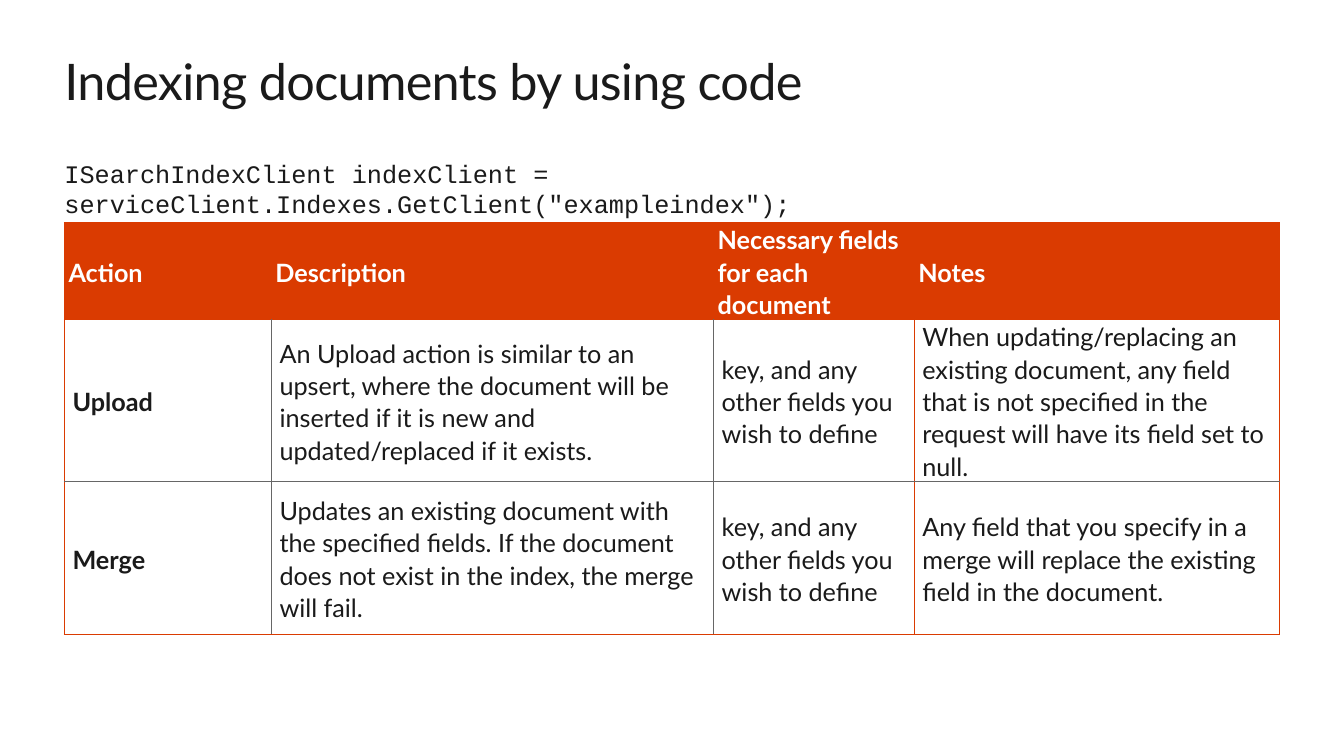
from dataclasses import dataclass

from lxml.etree import SubElement
from pptx import Presentation
from pptx.dml.color import RGBColor
from pptx.enum.text import MSO_VERTICAL_ANCHOR as Anchor
from pptx.oxml.ns import qn
from pptx.util import Inches, Pt

WIDTH, HEIGHT = Inches(13.33), Inches(7.5)
ORANGE, INK, WHITE, GRAY = "DA3B01", "1A1A1A", "FFFFFF", "666666"
SANS, MONO = "Lato", "Courier New"
LEFT, SPAN = 4.8, 90.4  # percent of the slide's width

COLUMN_SHARES = [15.4, 32.9, 14.93, 27.17]
ROW_SHARES = [8.53, 20.53, 20.27]


@dataclass
class TextLine:
    text: str
    top: float
    height: float
    size: float
    font: str
    tracking: float = 0
    before: float = 0


@dataclass
class Edge:
    side: str
    color: str
    points: float


LINES = [
    TextLine("Indexing documents by using code", 6.67, 8.13, 36, SANS, tracking=-0.5),
    TextLine('ISearchIndexClient indexClient = serviceClient.Indexes.GetClient("exampleindex");',
             20.93, 4, 18, MONO, before=3.6),
]

ACTIONS = [
    ["Action", "Description", "Necessary fields \vfor each document", "Notes"],
    ["Upload",
     "An Upload action is similar to an upsert, where the document will be inserted "
     "if it is new and updated/replaced if it exists.",
     "key, and any other fields you wish to define",
     "When updating/replacing an existing document, any field that is not specified "
     "in the request will have its field set to null."],
    ["Merge",
     "Updates an existing document with the specified fields. If the document does "
     "not exist in the index, the merge will fail.",
     "key, and any other fields you wish to define",
     "Any field that you specify in a merge will replace the existing field in the document."],
]


def across(percent: float) -> int:
    return int(WIDTH * percent / 100)


def down(percent: float) -> int:
    return int(HEIGHT * percent / 100)


def rgb(color: str) -> RGBColor:
    return RGBColor.from_string(color)


def write(para, text: str, *, size: float = 18, font: str = SANS, color: str = INK,
          bold: bool = False, tracking: float = 0) -> None:
    para.text = text
    for span in para.runs:
        span.font.size = Pt(size)
        span.font.name = font
        span.font.bold = bold
        span.font.color.rgb = rgb(color)
        if tracking:
            span.font._element.set("spc", str(int(tracking * 100)))


def add_line_of_text(page, line: TextLine) -> None:
    box = page.shapes.add_textbox(across(LEFT), down(line.top), across(SPAN), down(line.height))
    frame = box.text_frame
    frame.word_wrap = True
    frame.margin_left = frame.margin_right = frame.margin_top = frame.margin_bottom = 0
    para = frame.paragraphs[0]
    para.space_before = Pt(line.before)
    write(para, line.text, size=line.size, font=line.font, tracking=line.tracking)


def cell_edges(row: int, column: int) -> list[Edge]:
    """Orange frame, header and Notes divider; thin gray lines elsewhere."""
    last_row, last_column = len(ROW_SHARES) - 1, len(COLUMN_SHARES) - 1
    orange_sides = {
        "L": row == 0 or column in (0, last_column),
        "R": row == 0 or column >= last_column - 1,
        "T": row <= 1,
        "B": row in (0, last_row),
    }
    return [Edge(side, ORANGE, 1) if orange else Edge(side, GRAY, 0.5)
            for side, orange in orange_sides.items()]


def draw_edge(cell, edge: Edge) -> None:
    properties = cell._tc.get_or_add_tcPr()
    line = SubElement(properties, qn(f"a:ln{edge.side}"), w=str(int(Pt(edge.points))))
    SubElement(SubElement(line, qn("a:solidFill")), qn("a:srgbClr"), val=edge.color)


def add_action_table(page) -> None:
    frame = page.shapes.add_table(len(ROW_SHARES), len(COLUMN_SHARES), across(LEFT), down(29.47),
                                  across(SPAN), down(sum(ROW_SHARES)))
    table = frame.table
    table.horz_banding = False
    for column, share in zip(table.columns, COLUMN_SHARES):
        column.width = across(share)
    for row, share in zip(table.rows, ROW_SHARES):
        row.height = down(share)
    for r, texts in enumerate(ACTIONS):
        header = r == 0
        for c, text in enumerate(texts):
            cell = table.cell(r, c)
            for edge in cell_edges(r, c):
                draw_edge(cell, edge)
            cell.fill.solid()
            cell.fill.fore_color.rgb = rgb(ORANGE if header else WHITE)
            cell.vertical_anchor = Anchor.MIDDLE
            cell.margin_left = Inches(0.04 if header else 0.08)
            cell.margin_right = Inches(0.04)
            cell.margin_top = cell.margin_bottom = 0
            para = cell.text_frame.paragraphs[0]
            para.line_spacing = 1.07
            write(para, text, color=WHITE if header else INK, bold=header or c == 0)


def main() -> None:
    deck = Presentation()
    deck.slide_width, deck.slide_height = WIDTH, HEIGHT
    page = deck.slides.add_slide(deck.slide_layouts[6])
    for line in LINES:
        add_line_of_text(page, line)
    add_action_table(page)
    deck.save("out.pptx")


if __name__ == "__main__":
    main()
